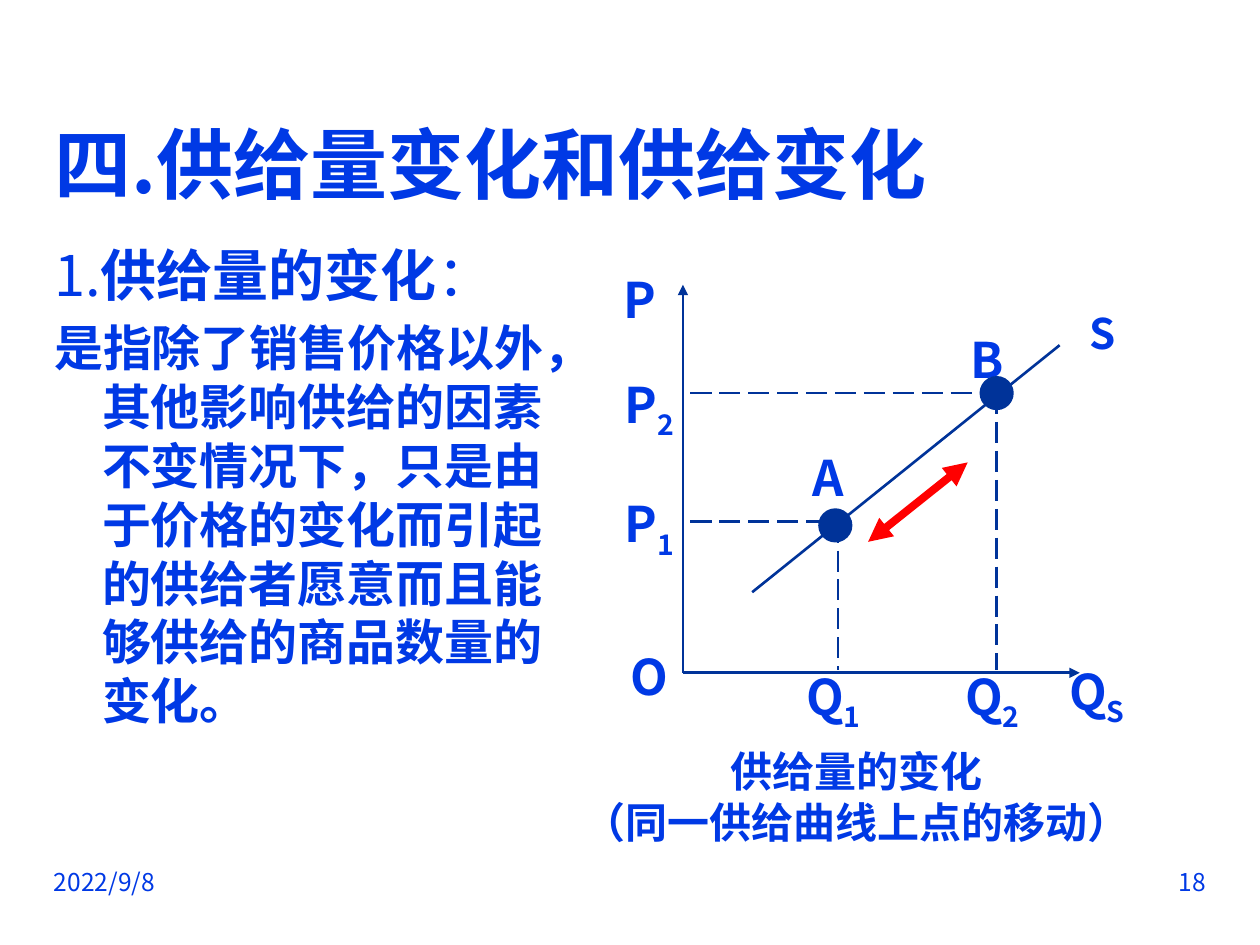
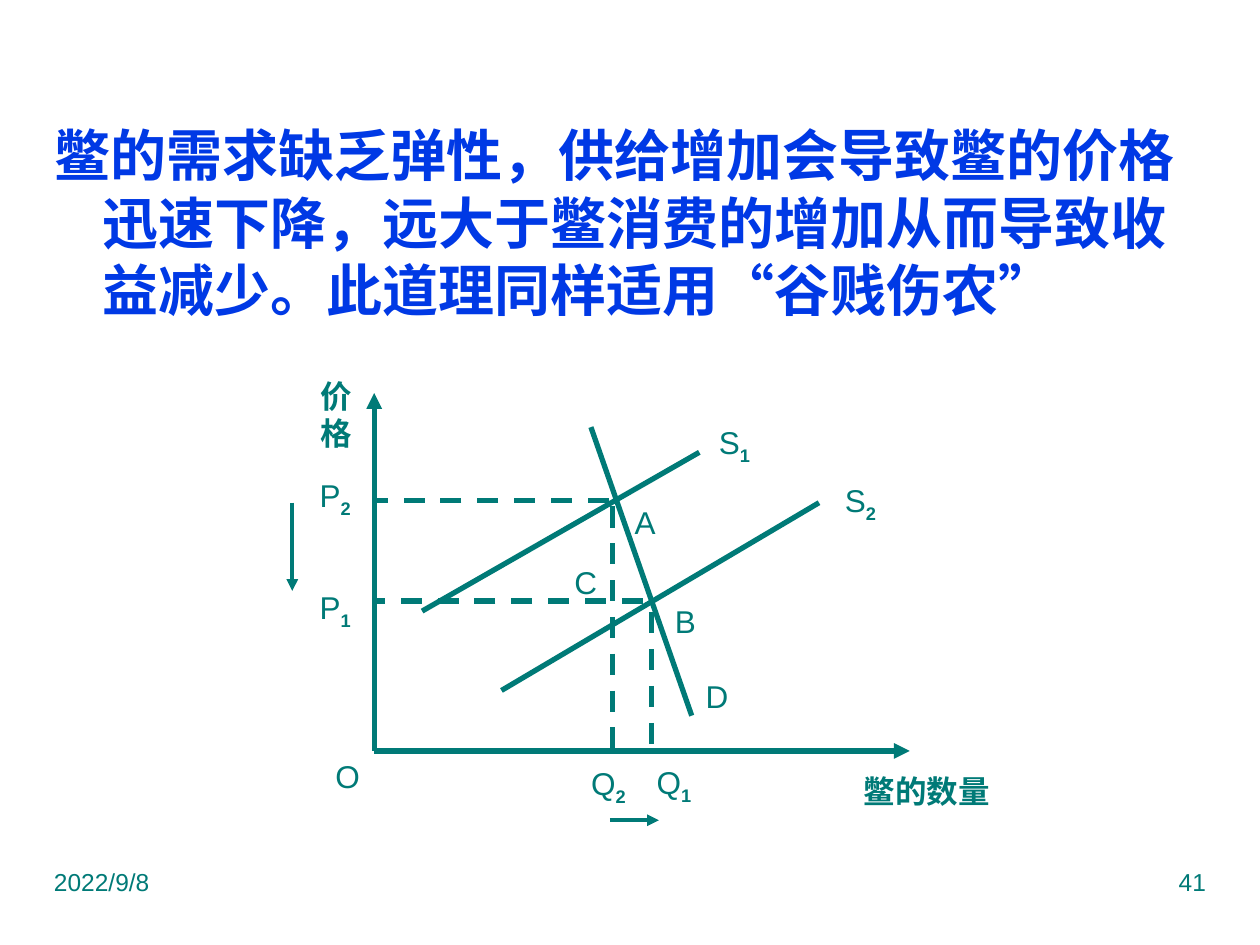
from lxml import etree
from pptx import Presentation
from pptx import util as u
from pptx.dml.color import RGBColor
from pptx.enum import dml, lang, shapes, text
from pptx.oxml.ns import qn

BLUE = "0039E5"
NAVY = "003399"
TEAL = "007A77"
RED = "FF0000"
CJK = "Noto Sans CJK SC"
SOLID = dml.MSO_LINE.SOLID
LONG_DASH = dml.MSO_LINE.LONG_DASH
DASH = dml.MSO_LINE.DASH


def add_run(paragraph, words, size, color, font=CJK, bold=False, subscript=False):
    run = paragraph.add_run()
    run.text = words
    run.font.size = u.Pt(size)
    run.font.bold = bold
    run.font.name = font
    run.font.language_id = lang.MSO_LANGUAGE_ID.SIMPLIFIED_CHINESE
    run.font.color.rgb = RGBColor.from_string(color)
    properties = run._r.get_or_add_rPr()
    etree.SubElement(properties, qn("a:ea")).set("typeface", CJK)
    if subscript:
        properties.set("baseline", "-25000")


def add_line(slide, ends, color, width, dash=SOLID, arrows=()):
    line = slide.shapes.add_connector(
        shapes.MSO_CONNECTOR.STRAIGHT, *[u.Inches(v) for v in ends])
    line.line.color.rgb = RGBColor.from_string(color)
    line.line.width = u.Pt(width)
    line.line.dash_style = dash
    for arrow in arrows:
        etree.SubElement(line.line._get_or_add_ln(), qn(arrow)).set("type", "triangle")
    etree.SubElement(line._element.spPr, qn("a:effectLst"))


END = ("a:tailEnd",)
BOTH = ("a:headEnd", "a:tailEnd")

deck = Presentation()
deck.slide_width = u.Inches(10)
deck.slide_height = u.Inches(7.5)
supply = deck.slides.add_slide(deck.slide_layouts[1])
turtle = deck.slides.add_slide(deck.slide_layouts[1])

for slide, page, font, color in [(supply, "18", CJK, BLUE), (turtle, "41", "Arial", TEAL)]:
    for left, words, align in [(0.33, "2022/9/8", text.PP_ALIGN.LEFT),
                               (7.17, page, text.PP_ALIGN.RIGHT)]:
        footer = slide.shapes.add_textbox(
            u.Inches(left), u.Inches(6.83), u.Inches(2.5), u.Inches(0.52)).text_frame
        footer.word_wrap = True
        footer.paragraphs[0].alignment = align
        add_run(footer.paragraphs[0], words, 14, color, font)

heading = supply.shapes.title
heading.left, heading.top = u.Inches(0.33), u.Inches(0.67)
heading.width, heading.height = u.Inches(9.34), u.Inches(1.25)
heading.text_frame.auto_size = text.MSO_AUTO_SIZE.NONE
heading.text_frame.vertical_anchor = text.MSO_ANCHOR.MIDDLE
heading.text_frame.paragraphs[0].alignment = text.PP_ALIGN.LEFT
add_run(heading.text_frame.paragraphs[0], "四.供给量变化和供给变化", 44, BLUE, bold=True)

unused_title = turtle.shapes.title._element
unused_title.getparent().remove(unused_title)

definition = [
    [("1.", 32, False), ("供给量的变化", 32, True), ("：", 32, False)],
    [("是指除了销售价格以外，其他影响供给的因素不变情况下，只是由于价格的变化"
      "而引起的供给者愿意而且能够供给的商品数量的变化。", 28, True)],
]
conclusion = [
    [("鳖的需求缺乏弹性，供给增加会导致鳖的价格迅速下降，远大于鳖消费的增加"
      "从而导致收益减少。此道理同样适用“谷贱伤农”", 32, True)],
]
for slide, top, width, height, content in [(supply, 1.86, 4.43, 4.81, definition),
                                           (turtle, 0.91, 9.34, 5.76, conclusion)]:
    body = slide.placeholders[1]
    body.left, body.top = u.Inches(0.33), u.Inches(top)
    body.width, body.height = u.Inches(width), u.Inches(height)
    body.text_frame.auto_size = text.MSO_AUTO_SIZE.NONE
    for number, runs in enumerate(content):
        paragraph = body.text_frame.add_paragraph() if number else body.text_frame.paragraphs[0]
        properties = paragraph._p.get_or_add_pPr()
        properties.set("marL", str(u.Inches(0.38)))
        properties.set("indent", str(u.Inches(-0.38)))
        etree.SubElement(properties, qn("a:buNone"))
        for words, size, bold in runs:
            add_run(paragraph, words, size, BLUE, bold=bold)

for ends, arrows in [((5.42, 5.34, 8.57, 5.34), END),
                     ((5.42, 5.34, 5.42, 2.26), END),
                     ((5.97, 4.7, 8.41, 2.74), ())]:
    add_line(supply, ends, NAVY, 1.5, arrows=arrows)
add_line(supply, (6.89, 4.3, 7.68, 3.67), RED, 4.5, arrows=BOTH)
for quantity, price in [(7.91, 3.12), (6.65, 4.14)]:
    add_line(supply, (5.48, price, quantity, price), NAVY, 1.5, LONG_DASH)
    add_line(supply, (quantity, price, quantity, 5.32), NAVY, 1.5, LONG_DASH)

for ends, arrows in [((2.97, 5.96, 7.22, 5.96), END),
                     ((2.97, 5.96, 2.97, 3.12), END),
                     ((4.69, 3.39, 5.49, 5.68), ()),
                     ((3.35, 4.85, 5.55, 3.59), ()),
                     ((3.98, 5.48, 6.5, 3.99), ())]:
    add_line(turtle, ends, TEAL, 3, arrows=arrows)
for guide in [(5.1, 4.77, 2.97, 4.77), (4.83, 3.97, 2.97, 3.97),
              (4.86, 4.02, 4.86, 5.94), (5.17, 4.86, 5.17, 5.96)]:
    add_line(turtle, guide, TEAL, 3, DASH)
for shift in [(4.84, 6.51, 5.23, 6.51), (2.32, 3.99, 2.32, 4.69)]:
    add_line(turtle, shift, TEAL, 2.25, arrows=END)

supply_labels = [
    (["S"], "", 24, (8.42, 2.43, 0.67, 0.42)),
    (["供给量的变化", "（同一供给曲线上点的移动）"], "", 24, (4.55, 6.03, 4.5, 0.58)),
    (["P"], "1", 28, (4.9, 3.99, 0.51, 0.39)),
    (["P"], "2", 28, (4.9, 3.04, 0.51, 0.39)),
    (["Q"], "1", 28, (6.36, 5.4, 0.51, 0.31)),
    (["Q"], "2", 28, (7.62, 5.4, 0.51, 0.31)),
    (["P"], "", 28, (4.82, 2.18, 0.51, 0.39)),
    (["O"], "", 28, (4.9, 5.17, 0.51, 0.39)),
    (["Q"], "S", 28, (8.45, 5.32, 0.51, 0.39)),
    (["A"], "", 28, (6.32, 3.59, 0.51, 0.39)),
    (["B"], "", 28, (7.58, 2.65, 0.51, 0.39)),
]
turtle_labels = [
    (["鳖的数量"], "", 18, (6.56, 6.05, 1.59, 0.46)),
    (["价", "格"], "", 18, (2.4, 2.96, 0.54, 0.66)),
    (["D"], "", 18, (5.42, 5.25, 0.54, 0.55)),
    (["S"], "2", 18, (6.56, 3.67, 0.54, 0.64)),
    (["S"], "1", 18, (5.56, 3.2, 0.54, 0.65)),
    (["P"], "1", 18, (2.39, 4.54, 0.54, 0.59)),
    (["P"], "2", 18, (2.39, 3.59, 0.54, 0.72)),
    (["Q"], "1", 18, (5.08, 5.95, 0.54, 0.55)),
    (["Q"], "2", 18, (4.56, 5.96, 0.54, 0.55)),
    (["O"], "", 18, (2.49, 5.88, 0.54, 0.55)),
    (["A"], "", 18, (4.85, 3.99, 0.54, 0.31)),
    (["B"], "", 18, (5.17, 4.77, 0.54, 0.31)),
    (["C"], "", 18, (4.38, 4.46, 0.54, 0.31)),
]
for slide, labels, color, font in [(supply, supply_labels, BLUE, CJK),
                                   (turtle, turtle_labels, TEAL, "Arial")]:
    for lines, index, size, box in labels:
        label = slide.shapes.add_textbox(*[u.Inches(v) for v in box]).text_frame
        label.word_wrap = False
        label.margin_left = label.margin_right = 0
        label.vertical_anchor = text.MSO_ANCHOR.MIDDLE
        for number, words in enumerate(lines):
            paragraph = label.add_paragraph() if number else label.paragraphs[0]
            paragraph.alignment = text.PP_ALIGN.CENTER
            bold = slide is supply or not words.isascii()
            add_run(paragraph, words, size, color, font, bold)
            if index:
                add_run(paragraph, index, size, color, font, True, subscript=True)

for left, top in [(6.51, 4.05), (7.79, 3)]:
    point = supply.shapes.add_shape(shapes.MSO_SHAPE.OVAL, u.Inches(left), u.Inches(top),
                                    u.Inches(0.24), u.Inches(0.24))
    point.shadow.inherit = False
    point.fill.solid()
    point.fill.fore_color.rgb = RGBColor.from_string(NAVY)
    point.line.color.rgb = RGBColor.from_string(NAVY)
    point.line.width = u.Pt(2.25)

deck.save("out.pptx")
